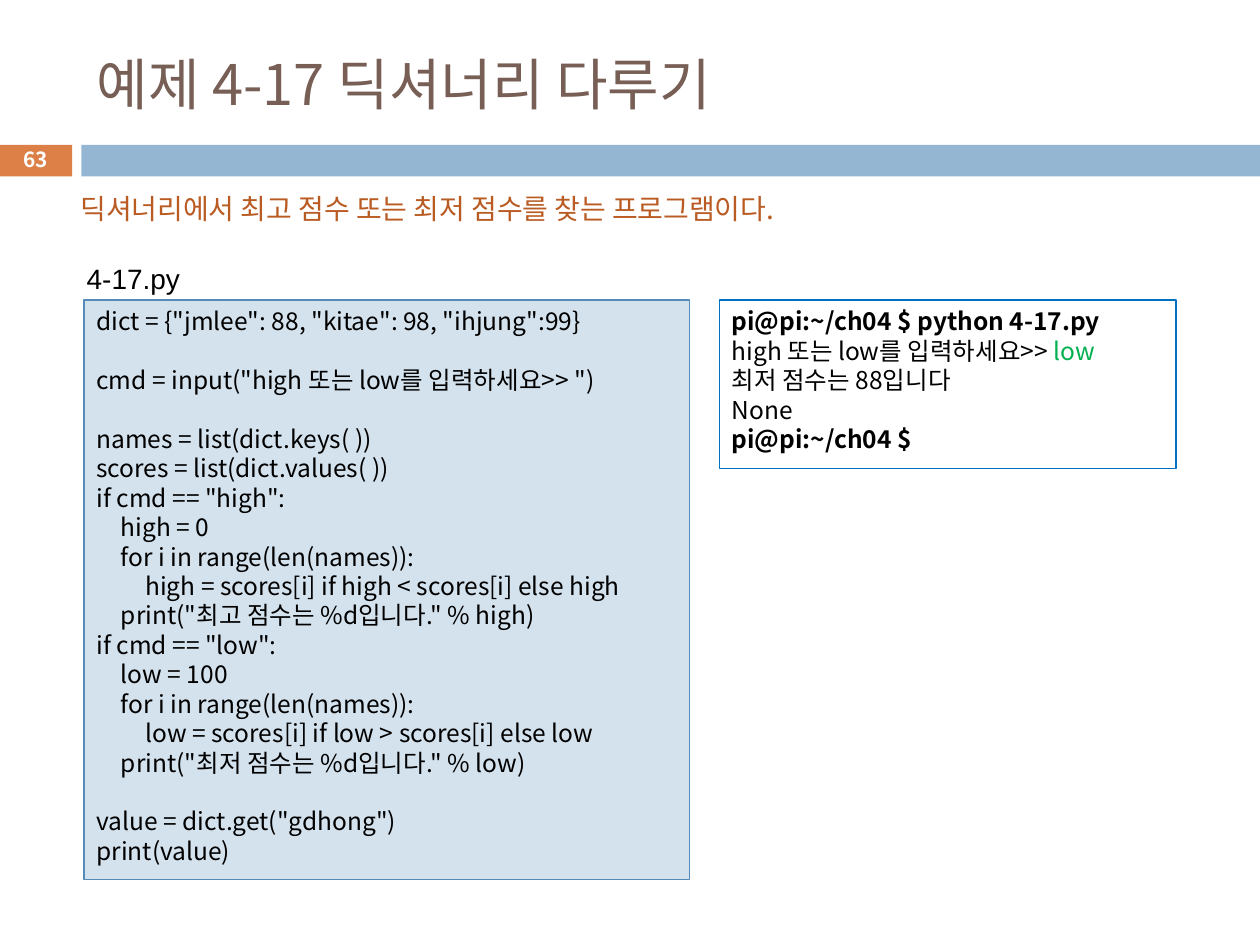
from dataclasses import dataclass

import pptx
import pptx.dml.color
import pptx.enum.shapes
import pptx.enum.text
import pptx.oxml
import pptx.oxml.ns
import pptx.util

Pt = pptx.util.Pt
ALIGN = pptx.enum.text.PP_ALIGN
ANCHOR = pptx.enum.text.MSO_ANCHOR

COLORS = {
    "title": "775F55", "accent": "DD8047", "bar": "94B6D2", "subtitle": "B95B22",
    "code_fill": "D4E2ED", "code_line": "558BB8", "console_line": "0070C0",
    "typed": "00B050", "white": "FFFFFF", "black": "000000",
}
KOREAN_FONT = "Noto Sans CJK KR"
CODE_SIZE = 14
LINE_FACTOR = 1.2
TAB_STEP = 14

CODE = """dict = {"jmlee": 88, "kitae": 98, "ihjung":99}

cmd = input("high 또는 low를 입력하세요>> ")

names = list(dict.keys( ))
scores = list(dict.values( ))
if cmd == "high":
\thigh = 0
\tfor i in range(len(names)):
\t\thigh = scores[i] if high < scores[i] else high
\tprint("최고 점수는 %d입니다." % high)
if cmd == "low":
\tlow = 100
\tfor i in range(len(names)):
\t\tlow = scores[i] if low > scores[i] else low
\tprint("최저 점수는 %d입니다." % low)

value = dict.get("gdhong")
print(value)"""

CONSOLE = """pi@pi:~/ch04 $ python 4-17.py
high 또는 low를 입력하세요>> 
최저 점수는 88입니다
None
pi@pi:~/ch04 $"""


@dataclass
class Area:
    left: float
    top: float
    width: float
    height: float

    def lengths(self) -> list:
        return [Pt(value) for value in (self.left, self.top, self.width, self.height)]


@dataclass
class Panel:
    area: Area
    fill: str
    line: str = ""
    text: str = ""


def rgb(name: str):
    return pptx.dml.color.RGBColor.from_string(COLORS[name])


def style_span(span, size: float, color: str, bold: bool = False,
               font: str = KOREAN_FONT) -> None:
    span.font.size = Pt(size)
    span.font.name = font
    span.font.bold = bold
    span.font.color.rgb = rgb(color)
    east_asian = pptx.oxml.parse_xml(
        f'<a:ea {pptx.oxml.ns.nsdecls("a")} typeface="{font}"/>')
    span.font._element.find(pptx.oxml.ns.qn("a:latin")).addnext(east_asian)


def add_tab_stops(para) -> None:
    stops = "".join(f'<a:tab pos="{Pt(TAB_STEP * level)}" algn="l"/>' for level in (1, 2))
    para._p.get_or_add_pPr().append(pptx.oxml.parse_xml(
        f'<a:tabLst {pptx.oxml.ns.nsdecls("a")}>{stops}</a:tabLst>'))


def add_panel(page, panel: Panel):
    box = page.shapes.add_shape(
        pptx.enum.shapes.MSO_SHAPE.RECTANGLE, *panel.area.lengths())
    box.shadow.inherit = False
    box.fill.solid()
    box.fill.fore_color.rgb = rgb(panel.fill)
    if panel.line:
        box.line.color.rgb = rgb(panel.line)
        box.line.width = Pt(0.75)
    else:
        box.line.fill.background()
    if panel.text:
        frame = box.text_frame
        frame.word_wrap = True
        frame.vertical_anchor = ANCHOR.TOP
        frame.text = panel.text
        for para in frame.paragraphs:
            add_tab_stops(para)
            para.alignment = ALIGN.LEFT
            para.line_spacing = Pt(CODE_SIZE * LINE_FACTOR)
            para.font.size = Pt(CODE_SIZE)
            for span in para.runs:
                style_span(span, CODE_SIZE, "black", span.text.startswith("pi@pi"))
    return box


def add_label(page, area: Area, text: str, size: float, color: str, bold: bool = False,
              font: str = KOREAN_FONT, wrap: bool = False):
    """Add a one-line text box and return it for further layout."""
    box = page.shapes.add_textbox(*area.lengths())
    box.text_frame.word_wrap = wrap
    box.text_frame.text = text
    style_span(box.text_frame.paragraphs[0].runs[0], size, color, bold, font)
    return box


def add_title(page, text: str) -> None:
    title = page.shapes.title
    title.left, title.top, title.width, title.height = Area(48, 18, 642, 59).lengths()
    title.text_frame.text = text
    title.text_frame.vertical_anchor = ANCHOR.MIDDLE
    para = title.text_frame.paragraphs[0]
    para.alignment = ALIGN.LEFT
    style_span(para.runs[0], 32, "title")


def main() -> None:
    deck = pptx.Presentation()
    deck.slide_width, deck.slide_height = Pt(720), Pt(540)
    page = deck.slides.add_slide(deck.slide_layouts[5])

    add_panel(page, Panel(Area(-0.5, 82.8, 41.7, 18), "accent"))
    add_panel(page, Panel(Area(46.5, 82.8, 673.5, 18), "bar"))
    add_title(page, "예제 4-17 딕셔너리 다루기")

    number = add_label(page, Area(-0.5, 81.4, 41.7, 19.4), "63", 11.9, "white",
                       bold=True, wrap=True)
    number.text_frame.vertical_anchor = ANCHOR.MIDDLE
    number.text_frame.paragraphs[0].alignment = ALIGN.CENTER

    subtitle = add_label(page, Area(39, 106, 465, 26.6),
                         "딕셔너리에서 최고 점수 또는 최저 점수를 찾는 프로그램이다.",
                         16, "subtitle")
    subtitle.text_frame.paragraphs[0].line_spacing = Pt(16 * LINE_FACTOR)

    add_panel(page, Panel(Area(48, 171.5, 346, 331), "code_fill", "code_line", CODE))
    console = add_panel(
        page, Panel(Area(411, 171.5, 261, 96.2), "white", "console_line", CONSOLE))
    typed = console.text_frame.paragraphs[1].add_run()
    typed.text = "low"
    style_span(typed, CODE_SIZE, "typed")

    file_name = add_label(page, Area(42.5, 134.6, 69, 33.8), "4-17.py", 16, "black",
                          font="Arial")
    para = file_name.text_frame.paragraphs[0]
    para.alignment = ALIGN.JUSTIFY
    para.line_spacing = 1.6

    deck.save("out.pptx")


if __name__ == "__main__":
    main()
